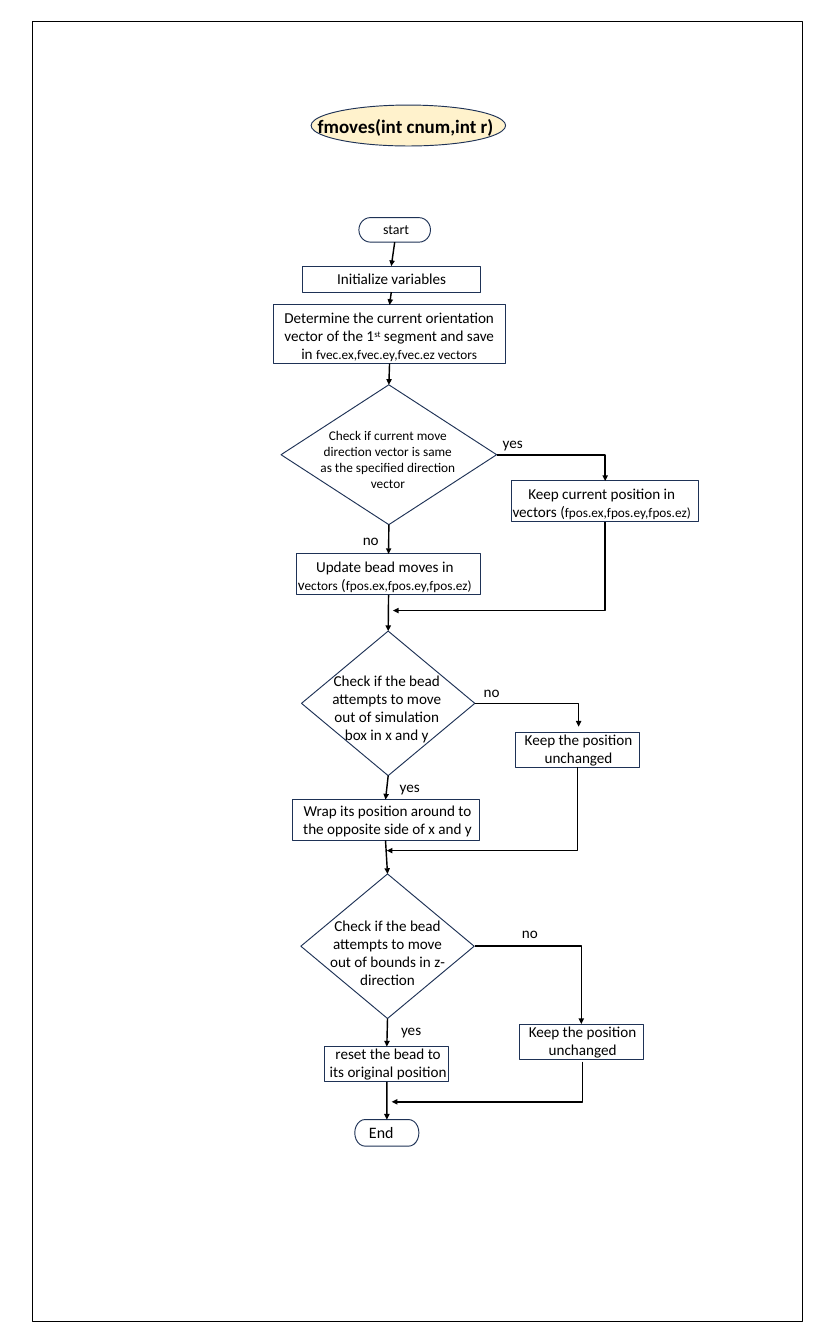
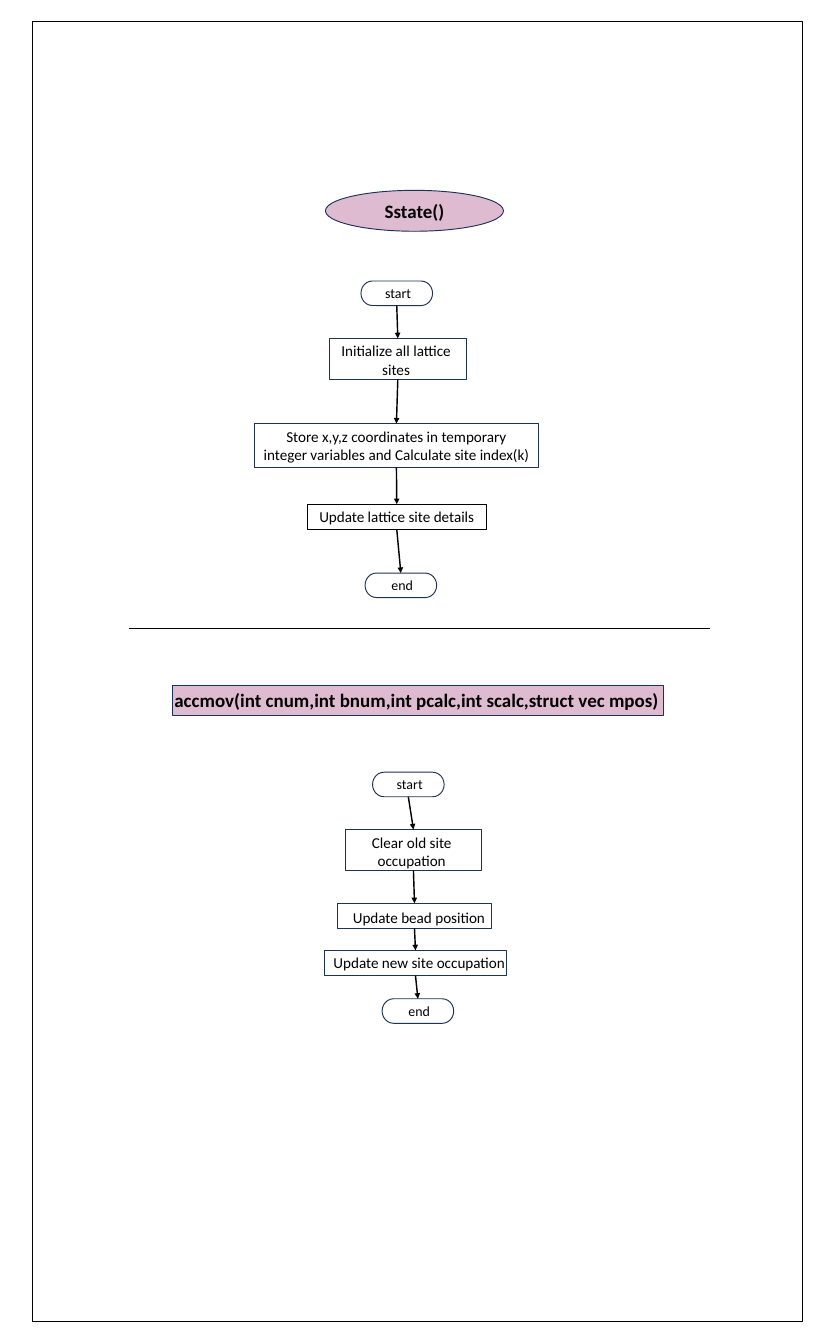
from dataclasses import dataclass
from itertools import pairwise
from typing import NamedTuple

from pptx import Presentation
from pptx.dml.color import RGBColor
from pptx.enum.shapes import MSO_CONNECTOR, MSO_SHAPE
from pptx.enum.text import MSO_ANCHOR, MSO_AUTO_SIZE, PP_ALIGN
from pptx.oxml.ns import qn
from pptx.shapes.autoshape import Shape
from pptx.shapes.connector import Connector
from pptx.slide import Slide
from pptx.text.text import TextFrame
from pptx.util import Pt

RECT = MSO_SHAPE.RECTANGLE
DIAMOND = MSO_SHAPE.DIAMOND
TERMINATOR = MSO_SHAPE.FLOWCHART_TERMINATOR
OVAL = MSO_SHAPE.OVAL
STRAIGHT = MSO_CONNECTOR.STRAIGHT
ELBOW = MSO_CONNECTOR.ELBOW
LEFT = PP_ALIGN.LEFT
CENTER = PP_ALIGN.CENTER
TOP = MSO_ANCHOR.TOP
GROW = MSO_AUTO_SIZE.SHAPE_TO_FIT_TEXT

BLACK = RGBColor(0x00, 0x00, 0x00)
NAVY = RGBColor(0x1E, 0x32, 0x56)
CREAM = RGBColor(0xFF, 0xF2, 0xCC)
PINK = RGBColor(0xDF, 0xBB, 0xD2)

FONT = "Calibri"
SLIDE_WIDTH = 874.8
SLIDE_HEIGHT = 1418.4
BOTTOM_SIDE = 2
TOP_SIDE = 0


class Box(NamedTuple):
    left: float
    top: float
    width: float
    height: float


class Point(NamedTuple):
    x: float
    y: float


class Span(NamedTuple):
    text: str
    size: float = 16
    bold: bool = False
    superscript: bool = False


Lines = list[list[Span]]


@dataclass
class Step:
    box: Box
    lines: Lines
    label: Box | None = None
    kind: MSO_SHAPE = RECT
    color: RGBColor = NAVY
    weight: float = 1
    align: PP_ALIGN = CENTER


@dataclass
class Elbow:
    start: Point
    end: Point
    down_first: bool = False


@dataclass
class Heading:
    text: str
    box: Box
    label: Box
    fill: RGBColor
    kind: MSO_SHAPE = OVAL


def plain(text: str, size: float = 16) -> Lines:
    return [[Span(text, size)]]


def terminator(text: str, left: float, top: float) -> Step:
    return Step(Box(left, top, 75.6, 25.9), plain(text, 14.7),
                Box(left - 11.5, top, 101.5, 25.2), TERMINATOR)


def short_step(text: str, left: float, top: float) -> Step:
    return Step(Box(left, top, 131, 37.4), plain(text),
                Box(left - 4, top - 5.8, 141.8, 46))


def clear_step(text: str, left: float, top: float) -> Step:
    return Step(Box(left, top, 144, 43.2), plain(text),
                Box(left - 2.9, top, 146.2, 46))


def write(frame: TextFrame, lines: Lines, align: PP_ALIGN) -> None:
    frame.word_wrap = True
    frame.auto_size = GROW
    frame.vertical_anchor = TOP
    for index, spans in enumerate(lines):
        paragraph = frame.add_paragraph() if index else frame.paragraphs[0]
        paragraph.alignment = align
        for span in spans:
            run = paragraph.add_run()
            run.text = span.text
            run.font.name = FONT
            run.font.size = Pt(span.size)
            run.font.bold = span.bold
            run.font.color.rgb = BLACK
            if span.superscript:
                run._r.get_or_add_rPr().set("baseline", "30000")


def add_text(slide: Slide, box: Box, lines: Lines, align: PP_ALIGN = CENTER) -> None:
    write(slide.shapes.add_textbox(*map(Pt, box)).text_frame, lines, align)


def add_outline(slide: Slide, kind: MSO_SHAPE, box: Box, color: RGBColor = NAVY,
                weight: float = 1, fill: RGBColor | None = None) -> Shape:
    outline = slide.shapes.add_shape(kind, *map(Pt, box))
    outline.shadow.inherit = False
    if fill is None:
        outline.fill.background()
    else:
        outline.fill.solid()
        outline.fill.fore_color.rgb = fill
    outline.line.color.rgb = color
    outline.line.width = Pt(weight)
    return outline


def add_line(slide: Slide, kind: MSO_CONNECTOR, start: Point, end: Point,
             weight: float = 1.5, arrow: bool = True) -> Connector:
    line = slide.shapes.add_connector(kind, *map(Pt, (*start, *end)))
    line.line.color.rgb = BLACK
    line.line.width = Pt(weight)
    properties = line._element.spPr
    if arrow:
        stroke = properties.find(qn("a:ln"))
        stroke.append(stroke.makeelement(qn("a:tailEnd"), {"type": "triangle"}))
    properties.append(properties.makeelement(qn("a:effectLst"), {}))
    return line


def add_elbow(slide: Slide, elbow: Elbow) -> None:
    start, end = elbow.start, elbow.end
    if elbow.down_first:
        middle = Point((start.x + end.x) / 2, (start.y + end.y) / 2)
        half_drop = (end.y - start.y) / 2
        half_run = (start.x - end.x) / 2
        start = Point(middle.x - half_drop, middle.y - half_run)
        end = Point(middle.x + half_drop, middle.y + half_run)
    properties = add_line(slide, ELBOW, start, end)._element.spPr
    properties.find(qn("a:prstGeom")).set("prst", "bentConnector2")
    if elbow.down_first:
        properties.find(qn("a:xfrm")).set("rot", "5400000")


def add_step(slide: Slide, step: Step) -> Shape:
    outline = add_outline(slide, step.kind, step.box, step.color, step.weight)
    if step.label is None:
        write(outline.text_frame, step.lines, step.align)
    else:
        add_text(slide, step.label, step.lines, step.align)
    return outline


def add_flow(slide: Slide, steps: list[Step]) -> None:
    outlines = [add_step(slide, step) for step in steps]
    for upper, lower in pairwise(outlines):
        arrow = add_line(slide, STRAIGHT, Point(0, 0), Point(0, 0))
        arrow.begin_connect(upper, BOTTOM_SIDE)
        arrow.end_connect(lower, TOP_SIDE)


def add_heading(slide: Slide, heading: Heading) -> None:
    add_outline(slide, heading.kind, heading.box, fill=heading.fill)
    add_text(slide, heading.label, [[Span(heading.text, 20, bold=True)]])


def add_framed_slide(deck: Presentation) -> Slide:
    slide = deck.slides.add_slide(deck.slide_layouts[6])
    add_outline(slide, RECT, Box(34.6, 23, 812.2, 1371.6), BLACK)
    return slide


MOVES_HEADING = Heading("fmoves(int cnum,int r)", Box(328.3, 110.9, 205.2, 43.2),
                        Box(-9.4, 117.4, SLIDE_WIDTH, 31.7), CREAM)
MOVES_FLOW = [
    terminator("start", 378.7, 229.7),
    Step(Box(319, 280.8, 187.9, 27.4), plain("Initialize variables"),
         Box(315.4, 280.8, 195.8, 26.6)),
    Step(Box(288.7, 321.8, 244.8, 61.9),
         [[Span("Determine the current orientation vector of the 1"),
           Span("st", superscript=True), Span(" segment and save in "),
           Span("fvec.ex,fvec.ey,fvec.ez vectors", 14)]],
         Box(288, 321.8, 245.5, 65.5)),
    Step(Box(296.6, 406.1, 227.5, 147.6),
         plain("Check if current move direction vector is same "
               "as the specified direction vector", 14),
         Box(330.5, 447.1, 157.7, 74.9), DIAMOND),
    Step(Box(313.2, 584.6, 193.7, 43.2),
         [[Span("Update bead moves in v"), Span("ectors", 14), Span(" ("),
           Span("fpos.ex,fpos.ey,fpos.ez)", 14)]],
         Box(306, 584.6, 200.2, 46)),
    Step(Box(318.2, 666, 182.9, 152.6),
         plain("Check if the bead attempts to move out of simulation box in x and y"),
         Box(339.8, 704.9, 136.8, 104.4), DIAMOND),
    Step(Box(308.2, 843.8, 197.3, 43.2),
         plain("Wrap its position around to the opposite side of x and y"),
         Box(308.9, 842.4, 200.2, 46)),
    Step(Box(317.5, 922.3, 182.9, 152.6),
         plain("Check if the bead attempts to move out of bounds in z-direction"),
         Box(340.6, 963.4, 136.8, 104.4), DIAMOND),
    short_step("reset the bead to its original position", 342.7, 1104.5),
    Step(Box(374.4, 1181.5, 67.7, 28.1), plain("End", 16.8),
         Box(382.3, 1181.5, 59.8, 27.4), TERMINATOR, align=LEFT),
]
MOVES_BRANCHES = [
    Step(Box(540, 507.6, 197.3, 43.2),
         [[Span("Keep current position in vectors ("),
           Span("fpos.ex,fpos.ey,fpos.ez)", 14)]],
         Box(533.5, 507.6, 203, 46)),
    short_step("Keep the position unchanged", 543.6, 772.6),
    short_step("Keep the position unchanged", 547.9, 1080.7),
]
MOVES_ELBOWS = [
    Elbow(Point(524.9, 480.2), Point(638.6, 507.6)),
    Elbow(Point(638.6, 550.8), Point(414.7, 644.4), down_first=True),
    Elbow(Point(501.1, 742.3), Point(610.6, 766.8)),
    Elbow(Point(609.1, 809.3), Point(408.2, 897.8), down_first=True),
    Elbow(Point(501.1, 998.6), Point(613.4, 1080.7)),
    Elbow(Point(614.9, 1120.3), Point(413.3, 1162.8), down_first=True),
]
MOVES_ANSWERS = [
    ("yes", Point(523.4, 454.3)), ("no", Point(375.8, 556.6)),
    ("no", Point(503.3, 717.1)), ("yes", Point(414.7, 817.2)),
    ("no", Point(543.6, 971.3)), ("yes", Point(416.2, 1072.8)),
]

STATE_HEADING = Heading("Sstate()", Box(343.4, 200.9, 187.9, 43.2),
                        Box(0, 206.6, SLIDE_WIDTH, 31.7), PINK)
STATE_FLOW = [
    terminator("start", 380.9, 296.6),
    clear_step("Initialize all lattice sites", 347.8, 357.1),
    Step(Box(268.6, 447.1, 299.5, 46.1),
         [[Span("Store x,y,z coordinates in temporary")],
          [Span("integer variables and Calculate site index(k)")]]),
    Step(Box(324, 532.1, 189.4, 26.6), plain("Update lattice site details"),
         color=BLACK, weight=0.75),
    terminator("end", 385.2, 604.8),
]
ACCEPT_HEADING = Heading("accmov(int cnum,int bnum,int pcalc,int scalc,struct vec mpos)",
                         Box(182.2, 723.6, 518.4, 31.7),
                         Box(2.2, 723.6, SLIDE_WIDTH, 31.7), PINK, RECT)
ACCEPT_FLOW = [
    terminator("start", 393.1, 815),
    clear_step("Clear old site occupation", 364.3, 875.5),
    Step(Box(355.7, 953.3, 163.4, 26.6), plain("Update bead position"),
         Box(356.4, 954.7, 171.4, 26.6)),
    Step(Box(342.7, 1003, 191.5, 26.6), plain("Update new site occupation"),
         Box(342.7, 1002.2, 199.4, 26.6)),
    terminator("end", 403.2, 1054.1),
]


def main() -> None:
    deck = Presentation()
    deck.slide_width = Pt(SLIDE_WIDTH)
    deck.slide_height = Pt(SLIDE_HEIGHT)

    moves = add_framed_slide(deck)
    add_heading(moves, MOVES_HEADING)
    add_flow(moves, MOVES_FLOW)
    for branch in MOVES_BRANCHES:
        add_step(moves, branch)
    for elbow in MOVES_ELBOWS:
        add_elbow(moves, elbow)
    for answer, corner in MOVES_ANSWERS:
        add_text(moves, Box(*corner, 50.4, 26.6), plain(answer), LEFT)

    state = add_framed_slide(deck)
    for heading, flow in ((STATE_HEADING, STATE_FLOW), (ACCEPT_HEADING, ACCEPT_FLOW)):
        add_heading(state, heading)
        add_flow(state, flow)
    add_line(state, STRAIGHT, Point(136.1, 663.1), Point(749.5, 663.1), 0.5, arrow=False)

    deck.save("out.pptx")


if __name__ == "__main__":
    main()
